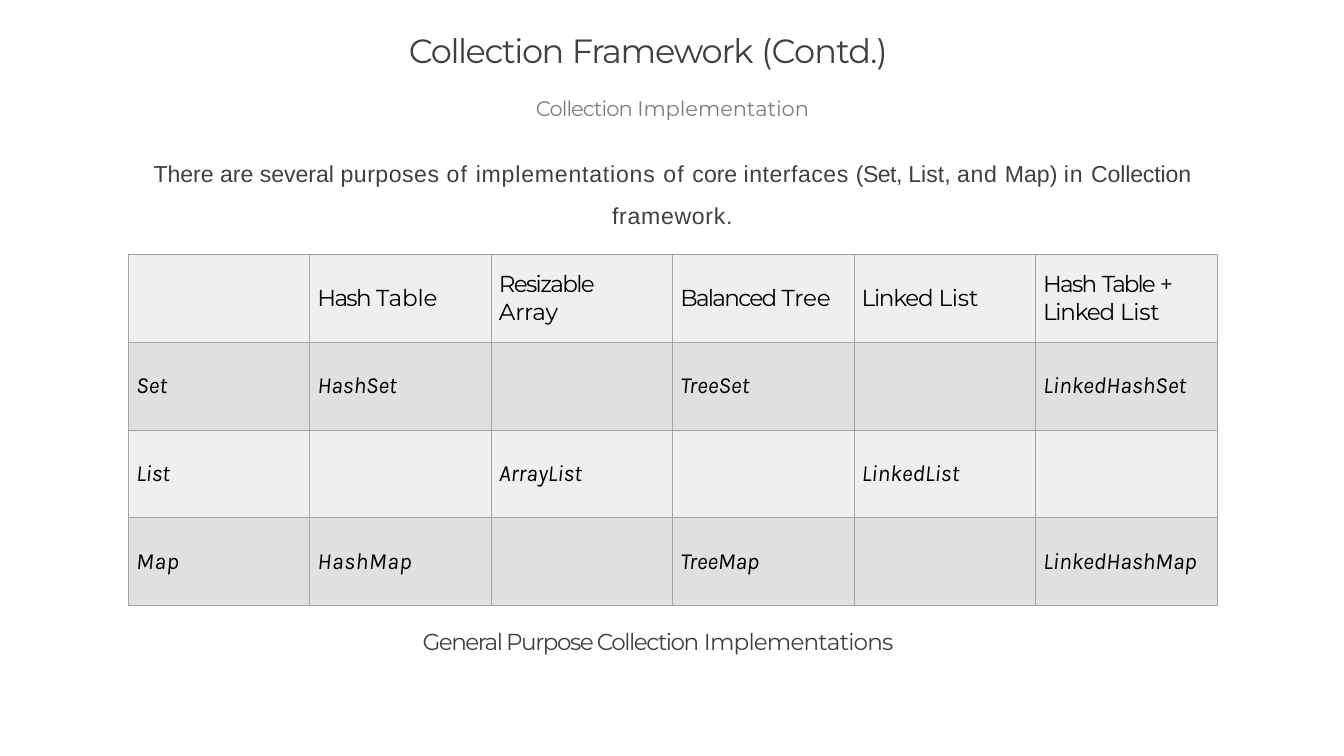
from dataclasses import dataclass

from lxml.etree import SubElement
from pptx import Presentation
from pptx.dml.color import RGBColor
from pptx.enum.text import MSO_ANCHOR, PP_ALIGN
from pptx.oxml.ns import qn
from pptx.util import Inches, Pt

DARK = RGBColor(0x40, 0x40, 0x40)
GRAY = RGBColor(0x7E, 0x7E, 0x7E)
BLACK = RGBColor(0, 0, 0)
LIGHT_ROW = RGBColor(0xEF, 0xEF, 0xEF)
DARK_ROW = RGBColor(0xE0, 0xE0, 0xE0)
BORDER = RGBColor(0xA4, 0xA4, 0xA4)


@dataclass(frozen=True)
class Span:
    text: str
    spacing: float = 0


@dataclass(frozen=True)
class Line:
    spans: tuple[Span, ...]
    size: float
    font: str
    color: RGBColor
    space_before: float = 0
    alignment: PP_ALIGN = PP_ALIGN.LEFT
    italic: bool = False


@dataclass(frozen=True)
class TextBlock:
    left: float
    top: float
    width: float
    height: float
    lines: tuple[Line, ...]


@dataclass(frozen=True)
class Entry:
    spans: tuple[Span, ...] = ()
    right_margin: float = 0


TEXT_BLOCKS = (
    TextBlock(5.41, 0.38, 7.84, 0.65, (
        Line((Span("Collection ", -1.4), Span("Framework ", -1.2), Span("(Contd.)", -0.8)),
             32, "Montserrat", DARK, 1.1),
    )),
    TextBlock(1.94, 1.26, 13.91, 1.84, (
        Line((Span("Collection ", -0.9), Span("Implementation", -0.1)),
             20, "Montserrat", GRAY, 1, PP_ALIGN.CENTER),
        Line((Span("There are several "), Span("purposes ", 0.5), Span("of ", 1.1),
              Span("implementations ", 0.8), Span("of ", 1.1), Span("core "),
              Span("interfaces ", 0.5), Span("(Set, ", -0.5), Span("List, "),
              Span("and ", 0.7), Span("Map) "), Span("in ", 0.9), Span("Collection", -0.1)),
             22, "Arial", DARK, 36.7, PP_ALIGN.CENTER),
        Line((Span("framework.", 0.7),), 22, "Arial", DARK, 13.2, PP_ALIGN.CENTER),
    )),
    TextBlock(5.59, 8.29, 6.86, 0.39, (
        Line((Span("General Purpose Collection ", -1.4), Span("Implementations", -0.8)),
             22, "Montserrat", DARK, 0.9),
    )),
)

EMPTY = Entry()
HEADER = (
    EMPTY,
    Entry((Span("Hash ", -1.6), Span("Table", -0.1))),
    Entry((Span("Resizable ", -1.6), Span("Array", -0.1)), 0.5),
    Entry((Span("Balanced ", -1.6), Span("Tree", -0.2))),
    Entry((Span("Linked ", -1.2), Span("List", -0.2))),
    Entry((Span("Hash ", -1.6), Span("Table ", -1.9), Span("+ ", -1.5),
           Span("Linked ", -1.2), Span("List", -0.2))),
)


def name(text: str, spacing: float = 0) -> Entry:
    return Entry((Span(text, spacing),))


ROWS = (
    HEADER,
    (name("Set"), name("HashSet", -0.1), EMPTY, name("TreeSet"), EMPTY, name("LinkedHashSet")),
    (name("List", -0.2), EMPTY, name("ArrayList", -0.1), EMPTY, name("LinkedList"), EMPTY),
    (name("Map", 0.7), name("HashMap", 0.6), EMPTY, name("TreeMap", -0.1), EMPTY,
     name("LinkedHashMap")),
)


def write_line(paragraph, line: Line) -> None:
    paragraph.alignment = line.alignment
    paragraph.space_before = Pt(line.space_before)
    font = paragraph.font
    font.size = Pt(line.size)
    font.name = line.font
    font.color.rgb = line.color
    font.italic = line.italic
    for span in line.spans:
        run = paragraph.add_run()
        run.text = span.text
        run._r.get_or_add_rPr().set("spc", str(round(span.spacing * 100)))


def add_text(slide, block: TextBlock) -> None:
    shape = slide.shapes.add_textbox(
        Inches(block.left), Inches(block.top), Inches(block.width), Inches(block.height))
    frame = shape.text_frame
    frame.word_wrap = True
    frame.margin_left = frame.margin_right = frame.margin_bottom = 0
    frame.margin_top = Inches(0.01)
    for index, line in enumerate(block.lines):
        write_line(frame.add_paragraph() if index else frame.paragraphs[0], line)


def add_borders(cell) -> None:
    properties = cell._tc.get_or_add_tcPr()
    for position, side in enumerate(("a:lnL", "a:lnR", "a:lnT", "a:lnB")):
        border = properties.makeelement(qn(side), {"w": str(Pt(1))})
        fill = SubElement(border, qn("a:solidFill"))
        SubElement(fill, qn("a:srgbClr"), val=str(BORDER))
        properties.insert(position, border)


def add_implementation_table(slide) -> None:
    shape = slide.shapes.add_table(
        len(ROWS), len(HEADER), Inches(1.7), Inches(3.37), Inches(14.4), Inches(4.64))
    table = shape.table
    for column in table.columns:
        column.width = Inches(2.4)
    for row_index, entries in enumerate(ROWS):
        table.rows[row_index].height = Inches(1.16)
        is_header = row_index == 0
        for column_index, entry in enumerate(entries):
            cell = table.cell(row_index, column_index)
            cell.fill.solid()
            cell.fill.fore_color.rgb = DARK_ROW if row_index % 2 else LIGHT_ROW
            add_borders(cell)
            cell.vertical_anchor = MSO_ANCHOR.MIDDLE
            cell.margin_left = Inches(0.1)
            cell.margin_right = Inches(entry.right_margin)
            cell.margin_top = cell.margin_bottom = 0
            font = "Montserrat" if is_header else "Karla"
            write_line(cell.text_frame.paragraphs[0],
                       Line(entry.spans, 22, font, BLACK, italic=not is_header))


def main() -> None:
    presentation = Presentation()
    presentation.slide_width = Inches(17.78)
    presentation.slide_height = Inches(10)
    slide = presentation.slides.add_slide(presentation.slide_layouts[6])
    for block in TEXT_BLOCKS:
        add_text(slide, block)
    add_implementation_table(slide)
    presentation.save("out.pptx")


if __name__ == "__main__":
    main()
